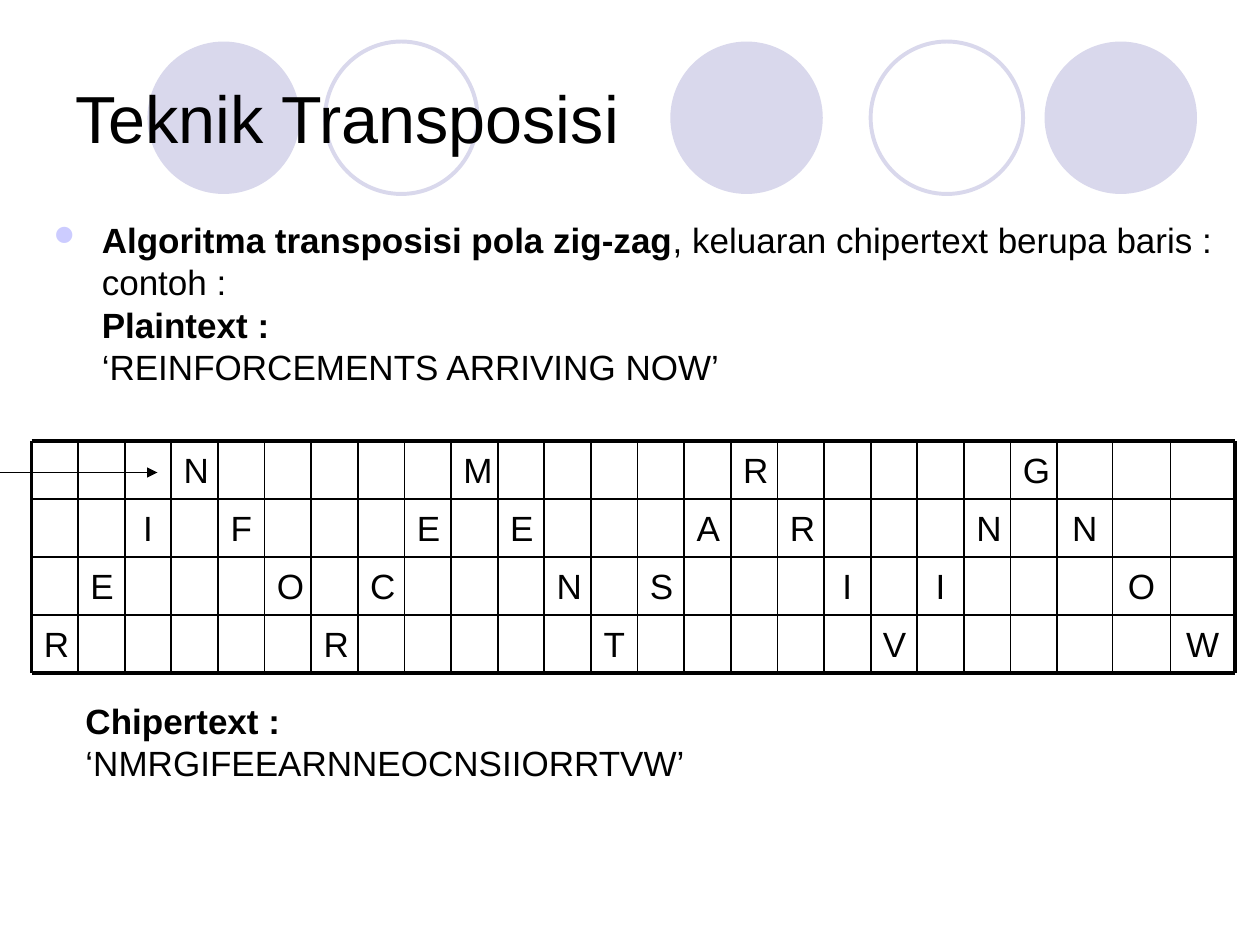
from dataclasses import dataclass
from itertools import accumulate

from pptx import Presentation
from pptx.dml.color import RGBColor
from pptx.enum.shapes import MSO_CONNECTOR, MSO_SHAPE
from pptx.enum.text import MSO_ANCHOR, PP_ALIGN
from pptx.oxml.ns import qn
from pptx.slide import Slide
from pptx.util import Inches, Pt
from lxml.etree import SubElement

PLAINTEXT = "REINFORCEMENTS ARRIVING NOW"
ROW_COUNT = 4


def color(value):
    return RGBColor.from_string(value)


@dataclass
class SlideBuilder:
    slide: Slide
    font_name: str = "Arial"
    text_color: str = "000000"
    circle_color: str = "D9D8EC"
    bullet_color: str = "CCCCFF"
    body_size: int = 20
    thick: float = 2.25
    thin: float = 1

    def circle(self, left, filled):
        shape = self.slide.shapes.add_shape(
            MSO_SHAPE.OVAL, Inches(left), Inches(0.33), Inches(1.21), Inches(1.21)
        )
        shape.shadow.inherit = False
        if filled:
            shape.fill.solid()
            shape.fill.fore_color.rgb = color(self.circle_color)
            shape.line.fill.background()
        else:
            shape.fill.background()
            shape.line.color.rgb = color(self.circle_color)
            shape.line.width = Pt(self.thick)

    def text(self, box, lines, size=None, anchor=MSO_ANCHOR.TOP):
        shape = self.slide.shapes.add_textbox(*map(Inches, box))
        frame = shape.text_frame
        frame.word_wrap = True
        frame.vertical_anchor = anchor
        for index, runs in enumerate(lines):
            paragraph = frame.add_paragraph() if index else frame.paragraphs[0]
            for content, bold in runs:
                run = paragraph.add_run()
                run.text = content
                run.font.bold = bold
            paragraph.font.name = self.font_name
            paragraph.font.size = Pt(size or self.body_size)
            paragraph.font.color.rgb = color(self.text_color)
        return frame.paragraphs

    def bullet_list(self, box, lines):
        indent = Inches(0.38)
        for index, paragraph in enumerate(self.text(box, lines)):
            paragraph.line_spacing = 0.8
            paragraph.space_before = Pt(5 if index else 0)
            properties = paragraph._p.get_or_add_pPr()
            properties.set("marL", str(indent))
            properties.set("indent", str(0 if index else -indent))
            if index == 0:
                self.bullet(properties)

    def bullet(self, properties):
        bullet_color = properties.makeelement(qn("a:buClr"), {})
        SubElement(bullet_color, qn("a:srgbClr"), val=self.bullet_color)
        size = properties.makeelement(qn("a:buSzPct"), {"val": "80000"})
        font = properties.makeelement(
            qn("a:buFont"), {"typeface": "Wingdings", "charset": "2"}
        )
        character = properties.makeelement(qn("a:buChar"), {"char": "l"})
        defaults = properties.find(qn("a:defRPr"))
        for element in (bullet_color, size, font, character):
            defaults.addprevious(element)

    def line(self, start, end, width):
        connector = self.slide.shapes.add_connector(
            MSO_CONNECTOR.STRAIGHT, *map(Inches, start + end)
        )
        connector.line.color.rgb = color(self.text_color)
        connector.line.width = Pt(width)
        SubElement(connector._element.spPr, qn("a:effectLst"))
        return connector

    def arrow(self, start, end):
        connector = self.line(start, end, 0.75)
        SubElement(connector.line._get_or_add_ln(), qn("a:tailEnd"), type="triangle")

    def zigzag_grid(self, left, top, widths, row_height, letters):
        column_edges = list(accumulate(widths, initial=left))
        row_edges = [top + row_height * row for row in range(ROW_COUNT + 1)]
        last_row = ROW_COUNT - 1
        for column, (width, letter) in enumerate(zip(widths, letters)):
            row = abs(last_row - column % (2 * last_row))
            box = (column_edges[column], row_edges[row], width, row_height)
            paragraphs = self.text(box, [[(letter, False)]], anchor=MSO_ANCHOR.MIDDLE)
            paragraphs[0].alignment = PP_ALIGN.CENTER
        right, bottom = column_edges[-1], row_edges[-1]
        for y in row_edges:
            self.line((left, y), (right, y), self.thick if y in (top, bottom) else self.thin)
        for x in column_edges:
            self.line((x, top), (x, bottom), self.thick if x in (left, right) else self.thin)


def main():
    presentation = Presentation()
    presentation.slide_width, presentation.slide_height = Inches(10), Inches(7.5)
    builder = SlideBuilder(presentation.slides.add_slide(presentation.slide_layouts[6]))

    for left in (5.32, 8.29, 1.17):
        builder.circle(left, filled=True)
    for left in (6.91, 2.58):
        builder.circle(left, filled=False)

    builder.text(
        (0.5, 0.3, 9, 1.25), [[("Teknik Transposisi", False)]], 38, MSO_ANCHOR.MIDDLE
    )
    builder.bullet_list(
        (0.33, 1.75, 9.67, 2.32),
        [
            [
                ("Algoritma transposisi pola zig-zag", True),
                (", keluaran chipertext berupa baris :", False),
            ],
            [("contoh :", False)],
            [("Plaintext :", True)],
            [(f"‘{PLAINTEXT}’", False)],
        ],
    )
    builder.zigzag_grid(
        0.25, 3.5, [0.37] * 22 + [0.44, 0.46, 0.51], 0.46, PLAINTEXT.replace(" ", "")
    )
    builder.text(
        (0.58, 5.5, 8.92, 1.1),
        [[("Chipertext :", True)], [("‘NMRGIFEEARNNEOCNSIIORRTVW’", False)]],
    )
    builder.arrow((0, 3.75), (1.25, 3.75))
    presentation.save("out.pptx")


if __name__ == "__main__":
    main()
